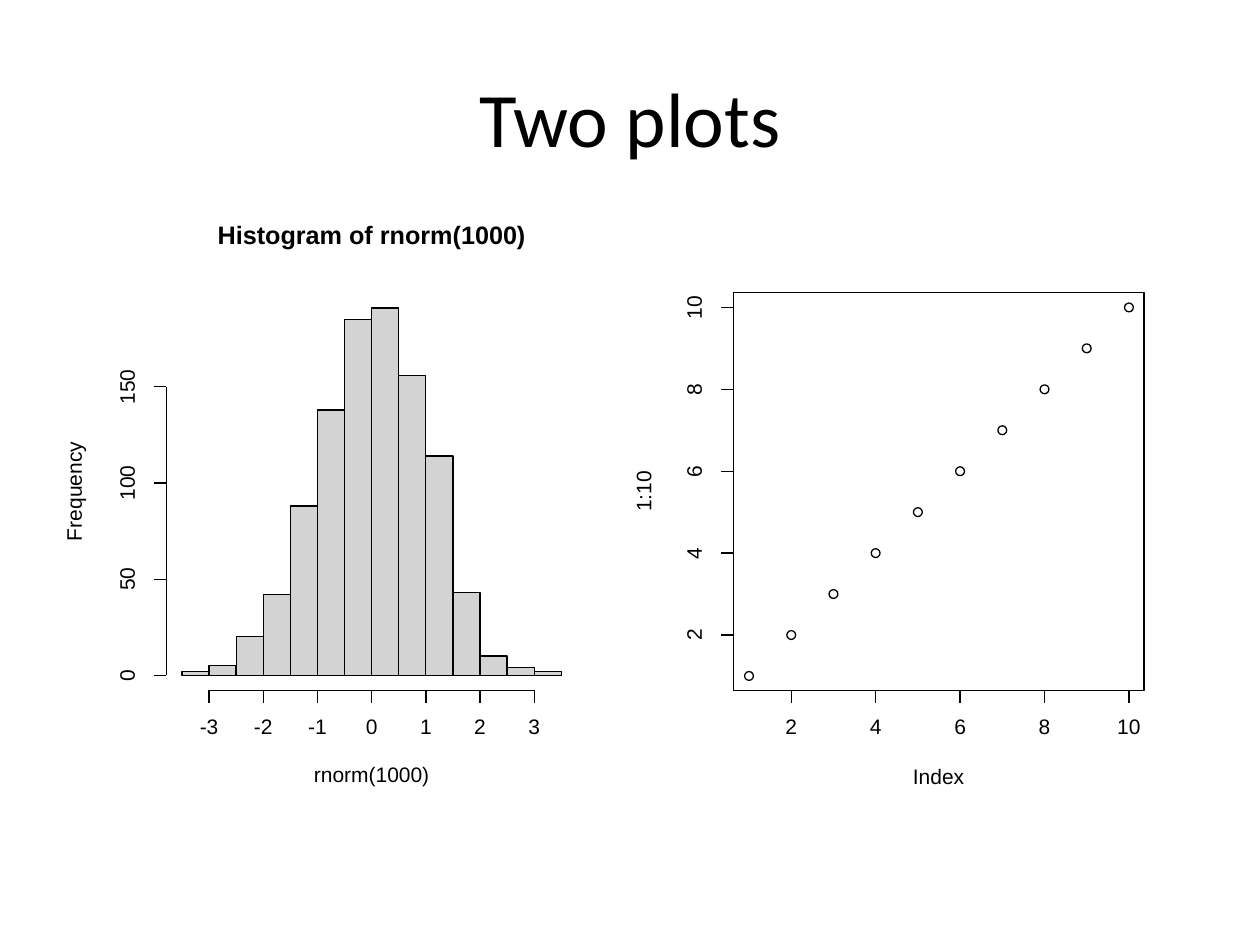
from dataclasses import dataclass
from typing import Optional

from lxml.etree import SubElement
from pptx import Presentation
from pptx.dml.color import RGBColor as Color
from pptx.enum.shapes import MSO_CONNECTOR as Connector
from pptx.enum.shapes import MSO_SHAPE as Preset
from pptx.enum.text import MSO_ANCHOR as Anchor
from pptx.enum.text import PP_ALIGN as Align
from pptx.oxml.ns import qn
from pptx.shapes.shapetree import GroupShapes
from pptx.util import Emu, Pt

EMU_PER_PX = 9144


@dataclass(frozen=True)
class Theme:
    ink: Color = Color(0x00, 0x00, 0x00)
    paper: Color = Color(0xFF, 0xFF, 0xFF)
    bar: Color = Color(0xD3, 0xD3, 0xD3)
    title_font: str = "Calibri"
    plot_font: str = "Arial"
    title_size: float = 44
    heading_size: float = 14.4
    label_size: float = 12
    line_width: float = 0.75


THEME = Theme()


@dataclass(frozen=True)
class Box:
    left: float
    top: float
    width: float
    height: float


@dataclass(frozen=True)
class Label:
    text: str
    center_x: float
    center_y: float
    width: float
    height: float = 12
    size: float = THEME.label_size
    bold: bool = False
    upright: bool = False


@dataclass(frozen=True)
class Axis:
    ticks: range
    first_px: int
    last_px: int
    line_at: int
    label_at: int
    vertical: bool = False

    def place(self, value: float) -> float:
        low, high = self.ticks[0], self.ticks[-1]
        share = (value - low) / (high - low)
        return self.first_px + share * (self.last_px - self.first_px)


TICK_LENGTH = 10
DIGIT_WIDTH, MINUS_WIDTH = 10, 6
POINT_SIZE = 7
BIN_START, BIN_WIDTH = -3.5, 0.5
COUNTS = (2, 5, 20, 42, 88, 138, 185, 191, 156, 114, 43, 10, 4, 2)

HISTOGRAM_PANEL = Box(50, 150, 450, 500)
HISTOGRAM_X = Axis(range(-3, 4), 166, 424, 548, 578)
HISTOGRAM_Y = Axis(range(0, 151, 50), 536, 307, 132, 102, vertical=True)
HISTOGRAM_LABELS = (
    Label("Histogram of rnorm(1000)", 295, 188, 260, 19, THEME.heading_size, bold=True),
    Label("rnorm(1000)", 295, 616, 96, 16),
    Label("Frequency", 60, 390, 84, 16, upright=True),
)

SCATTER_PANEL = Box(500, 150, 450, 500)
SCATTER_FRAME = Box(582, 232, 326, 316)
SCATTER_X = Axis(range(2, 11, 2), 628, 896, 548, 578)
SCATTER_Y = Axis(range(2, 11, 2), 504, 244, 582, 552, vertical=True)
SCATTER_LABELS = (
    Label("Index", 745, 618, 44),
    Label("1:10", 512, 390, 38, upright=True),
)


def px(value: float) -> Emu:
    return Emu(round(value * EMU_PER_PX))


def bounds(box: Box) -> tuple[Emu, Emu, Emu, Emu]:
    return px(box.left), px(box.top), px(box.width), px(box.height)


def draw_shape(shapes: GroupShapes, preset: Preset, box: Box,
               fill: Optional[Color] = None, line: Color = THEME.ink) -> None:
    shape = shapes.add_shape(preset, *bounds(box))
    shape.shadow.inherit = False
    if fill is None:
        shape.fill.background()
    else:
        shape.fill.solid()
        shape.fill.fore_color.rgb = fill
    shape.line.color.rgb = line
    shape.line.width = Pt(THEME.line_width)


def draw_line(shapes: GroupShapes, start: tuple[float, float],
              end: tuple[float, float]) -> None:
    line = shapes.add_connector(Connector.STRAIGHT, *map(px, start + end))
    line.line.color.rgb = THEME.ink
    line.line.width = Pt(THEME.line_width)
    SubElement(line._element.spPr, qn("a:effectLst"))


def draw_label(shapes: GroupShapes, label: Label) -> None:
    box = Box(label.center_x - label.width / 2, label.center_y - label.height / 2,
              label.width, label.height)
    text_box = shapes.add_textbox(*bounds(box))
    text_box.rotation = 270 if label.upright else 0
    frame = text_box.text_frame
    frame.word_wrap = False
    frame.vertical_anchor = Anchor.MIDDLE
    frame.margin_left = frame.margin_right = frame.margin_top = frame.margin_bottom = 0
    para = frame.paragraphs[0]
    para.alignment = Align.CENTER
    para.line_spacing = Pt(label.size)
    span = para.add_run()
    span.text = label.text
    span.font.name = THEME.plot_font
    span.font.size = Pt(label.size)
    span.font.bold = label.bold
    span.font.color.rgb = THEME.ink


def draw_axis(shapes: GroupShapes, axis: Axis) -> None:
    def point(along: float, across: float) -> tuple[float, float]:
        return (across, along) if axis.vertical else (along, across)

    outward = -TICK_LENGTH if axis.vertical else TICK_LENGTH
    draw_line(shapes, point(axis.first_px, axis.line_at), point(axis.last_px, axis.line_at))
    for value in axis.ticks:
        along = axis.place(value)
        draw_line(shapes, point(along, axis.line_at), point(along, axis.line_at + outward))
        width = len(str(abs(value))) * DIGIT_WIDTH + (MINUS_WIDTH if value < 0 else 0)
        draw_label(shapes, Label(str(value), *point(along, axis.label_at), width,
                                 upright=axis.vertical))


def draw_panel(shapes: GroupShapes, panel: Box, axes: tuple[Axis, ...],
               labels: tuple[Label, ...]) -> None:
    draw_shape(shapes, Preset.RECTANGLE, panel, THEME.paper, THEME.paper)
    for label in labels:
        draw_label(shapes, label)
    for axis in axes:
        draw_axis(shapes, axis)


def draw_histogram(shapes: GroupShapes) -> None:
    draw_panel(shapes, HISTOGRAM_PANEL, (HISTOGRAM_X, HISTOGRAM_Y), HISTOGRAM_LABELS)
    base = HISTOGRAM_Y.place(0)
    for index, count in enumerate(COUNTS):
        start = BIN_START + index * BIN_WIDTH
        left, right = HISTOGRAM_X.place(start), HISTOGRAM_X.place(start + BIN_WIDTH)
        top = HISTOGRAM_Y.place(count)
        draw_shape(shapes, Preset.RECTANGLE, Box(left, top, right - left, base - top), THEME.bar)


def draw_scatter(shapes: GroupShapes) -> None:
    draw_panel(shapes, SCATTER_PANEL, (SCATTER_X, SCATTER_Y), SCATTER_LABELS)
    draw_shape(shapes, Preset.RECTANGLE, SCATTER_FRAME)
    for value in range(1, 11):
        left = SCATTER_X.place(value) - POINT_SIZE / 2
        top = SCATTER_Y.place(value) - POINT_SIZE / 2
        draw_shape(shapes, Preset.OVAL, Box(left, top, POINT_SIZE, POINT_SIZE))


def main() -> None:
    deck = Presentation()
    deck.slide_width, deck.slide_height = px(1000), px(750)
    page = deck.slides.add_slide(deck.slide_layouts[6])
    title = page.shapes.add_textbox(*bounds(Box(50, 30, 900, 125))).text_frame
    title.word_wrap = True
    title.vertical_anchor = Anchor.MIDDLE
    para = title.paragraphs[0]
    para.alignment = Align.CENTER
    span = para.add_run()
    span.text = "Two plots"
    span.font.name = THEME.title_font
    span.font.size = Pt(THEME.title_size)
    span.font.color.rgb = THEME.ink
    for draw_plot in (draw_histogram, draw_scatter):
        draw_plot(page.shapes.add_group_shape().shapes)
    deck.save("out.pptx")


if __name__ == "__main__":
    main()
